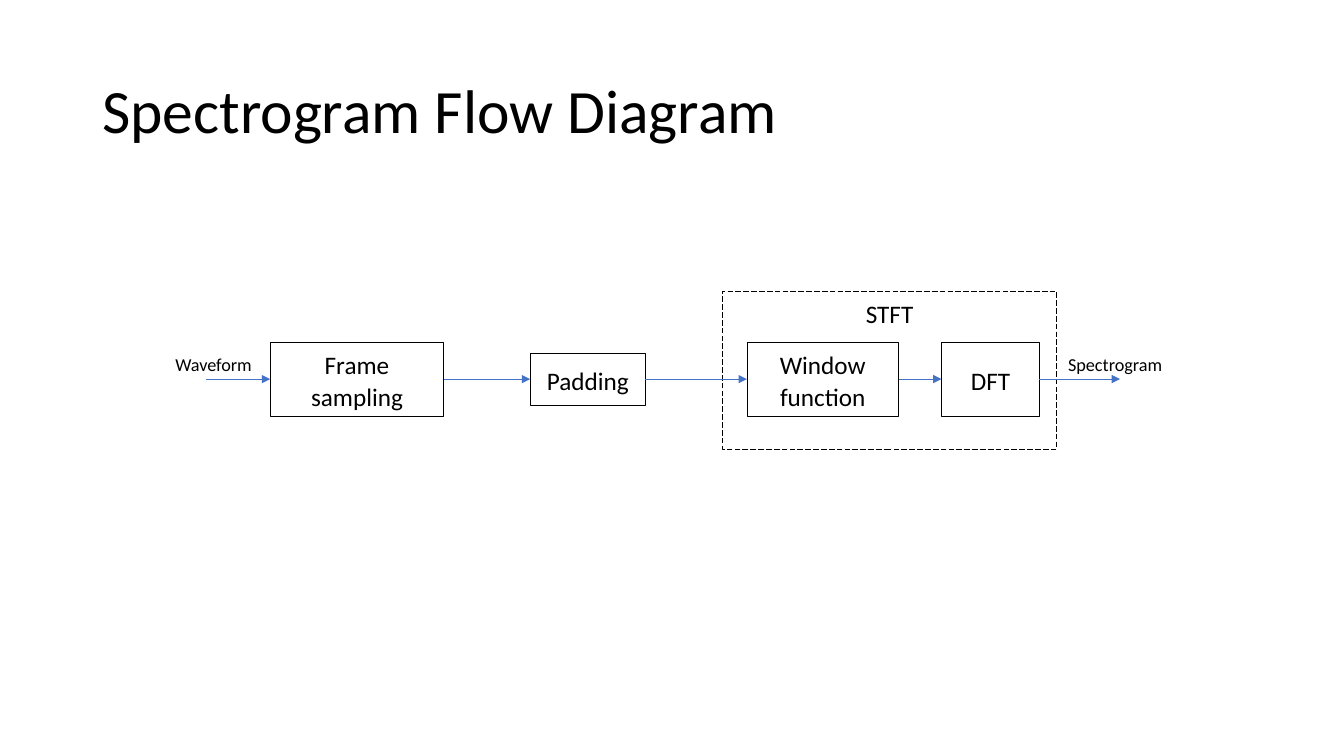
from lxml.etree import SubElement
from pptx import Presentation
from pptx.dml.color import RGBColor
from pptx.enum.dml import MSO_LINE
from pptx.enum.shapes import MSO_CONNECTOR, MSO_SHAPE
from pptx.enum.text import MSO_ANCHOR, PP_ALIGN
from pptx.oxml.ns import qn
from pptx.util import Pt

BLACK, WHITE, BLUE = "000000", "FFFFFF", "4472C4"


def color(hex_string):
    return RGBColor.from_string(hex_string)


def write(shape, text, size, anchor=MSO_ANCHOR.MIDDLE, align=PP_ALIGN.CENTER,
          line_spacing=1.0, space_after=0):
    frame = shape.text_frame
    frame.text = text
    frame.word_wrap = True
    frame.vertical_anchor = anchor
    paragraph = frame.paragraphs[0]
    paragraph.alignment = align
    paragraph.line_spacing = line_spacing
    paragraph.space_after = Pt(space_after)
    font = paragraph.runs[0].font
    font.name = "Calibri"
    font.size = Pt(size)
    font.color.rgb = color(BLACK)


def add_label(slide, text, left, top, width, height, size, **options):
    shape = slide.shapes.add_textbox(Pt(left), Pt(top), Pt(width), Pt(height))
    write(shape, text, size, **options)


def add_block(slide, text, left, top, width, height, dashed=False):
    shape = slide.shapes.add_shape(
        MSO_SHAPE.RECTANGLE, Pt(left), Pt(top), Pt(width), Pt(height))
    shape.shadow.inherit = False
    shape.line.color.rgb = color(BLACK)
    shape.line.width = Pt(0.5)
    if dashed:
        shape.fill.background()
        shape.line.dash_style = MSO_LINE.LONG_DASH
    else:
        shape.fill.solid()
        shape.fill.fore_color.rgb = color(WHITE)
    anchor = MSO_ANCHOR.TOP if dashed else MSO_ANCHOR.MIDDLE
    write(shape, text, 18, anchor, line_spacing=1.07, space_after=8)


def add_arrow(slide, start, end, y):
    connector = slide.shapes.add_connector(
        MSO_CONNECTOR.STRAIGHT, Pt(start), Pt(y), Pt(end), Pt(y))
    connector.line.color.rgb = color(BLUE)
    connector.line.width = Pt(0.5)
    properties = connector._element.spPr
    SubElement(properties.find(qn("a:ln")), qn("a:tailEnd"), type="triangle")
    SubElement(properties, qn("a:effectLst"))


def add_title(slide, left, top, width, height):
    add_label(slide, "Spectrogram Flow Diagram", left, top, width, height, 44,
              align=PP_ALIGN.LEFT, line_spacing=0.9)


def add_flow_diagram(slide, left, top, width, height):
    axis = top + 62.8
    add_block(slide, "STFT", left + 406.2, top, 238.5, height, dashed=True)

    blocks = [
        ("Frame sampling", 83, 124, 53),
        ("Padding", 268.7, 82.3, 37.5),
        ("Window function", 423.5, 108.4, 53),
        ("DFT", 562.5, 70, 53),
    ]
    for text, offset, block_width, block_height in blocks:
        add_block(slide, text, left + offset, axis - block_height / 2,
                  block_width, block_height)

    starts = [37] + [offset + block_width for _, offset, block_width, _ in blocks]
    ends = [offset for _, offset, _, _ in blocks] + [690]
    for start, end in zip(starts, ends):
        add_arrow(slide, left + start, left + end, axis)

    label_width = 85
    for text, offset in (("Waveform", 0), ("Spectrogram", width - label_width)):
        add_label(slide, text, left + offset, axis - 21.7, label_width, 23, 13,
                  anchor=MSO_ANCHOR.TOP)


def main():
    presentation = Presentation()
    presentation.slide_width = Pt(960)
    presentation.slide_height = Pt(540)
    slide = presentation.slides.add_slide(presentation.slide_layouts[6])
    add_title(slide, 66, 28.8, 828, 104.4)
    add_flow_diagram(slide, 110, 208, 729, 113)
    presentation.save("out.pptx")


if __name__ == "__main__":
    main()
